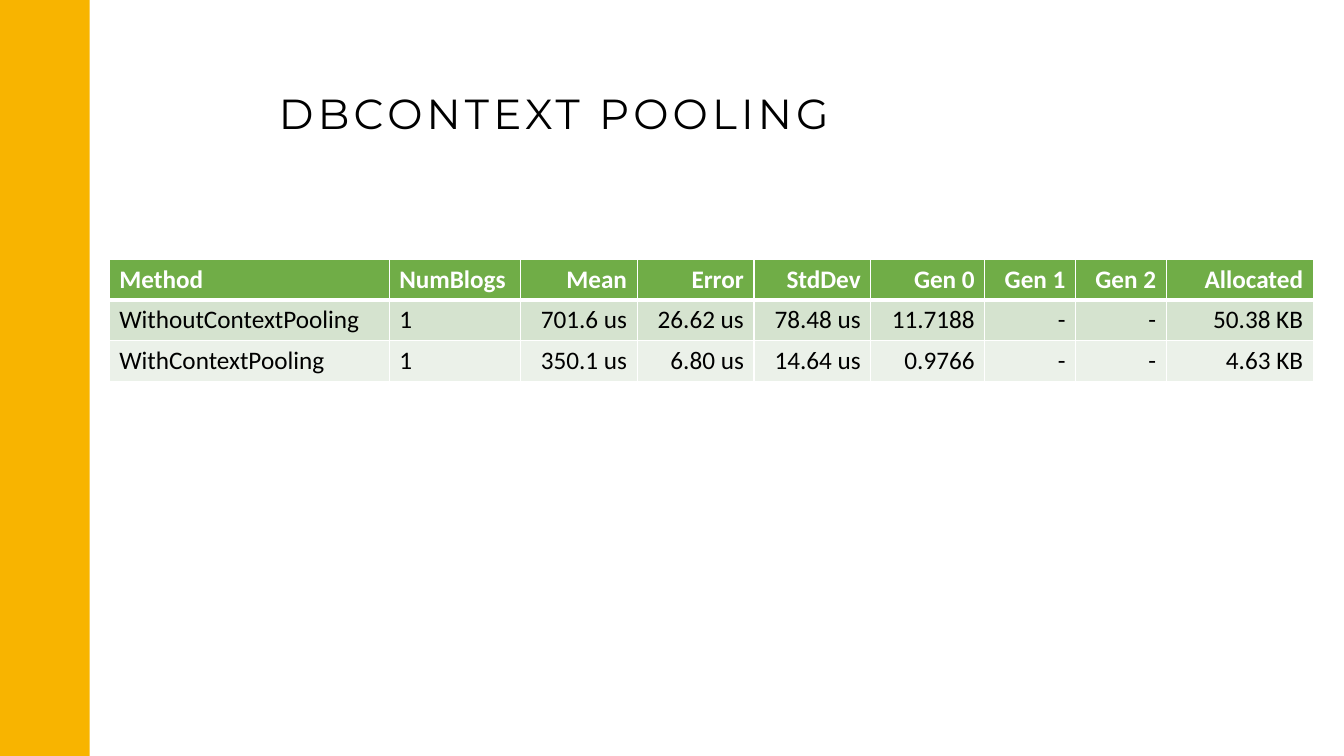
from lxml import etree
from pptx import Presentation
from pptx.dml.color import RGBColor
from pptx.enum.shapes import MSO_SHAPE
from pptx.enum.text import MSO_ANCHOR, PP_ALIGN
from pptx.oxml.ns import qn
from pptx.util import Pt

RECTANGLE = MSO_SHAPE.RECTANGLE
MIDDLE = MSO_ANCHOR.MIDDLE
LEFT, RIGHT = PP_ALIGN.LEFT, PP_ALIGN.RIGHT

COLORS = {
    "accent": "F8B400",
    "header": "70AD47",
    "odd_row": "D5E3CF",
    "even_row": "EBF1E9",
    "black": "000000",
    "white": "FFFFFF",
}
TITLE_FORMAT = {"name": "Montserrat", "size": Pt(30), "bold": False}
HEADER_FORMAT = {"name": "Calibri", "size": Pt(18), "bold": True}
BODY_FORMAT = {"name": "Calibri", "size": Pt(18), "bold": False}

BENCHMARK = [
    ["Method", "NumBlogs", "Mean", "Error", "StdDev", "Gen 0", "Gen 1", "Gen 2", "Allocated"],
    ["WithoutContextPooling", "1", "701.6 us", "26.62 us", "78.48 us", "11.7188", "-", "-", "50.38 KB"],
    ["WithContextPooling", "1", "350.1 us", "6.80 us", "14.64 us", "0.9766", "-", "-", "4.63 KB"],
]
COLUMN_WIDTHS = [200, 93.6, 83.5, 83.5, 83.5, 81.4, 64.8, 64.8, 105]
ROW_HEIGHT = 29.2
TEXT_COLUMNS = 2


def rgb(name):
    return RGBColor.from_string(COLORS[name])


def write_span(para, text, format_values, color):
    span = para.add_run()
    span.text = text
    for name, value in format_values.items():
        setattr(span.font, name, value)
    span.font.color.rgb = rgb(color)
    return span


def add_side_bar(page, width, height):
    bar = page.shapes.add_shape(RECTANGLE, 0, 0, width, height)
    bar.shadow.inherit = False
    bar.fill.solid()
    bar.fill.fore_color.rgb = rgb("accent")
    bar.line.fill.background()


def add_title(page, text, left, top, width, height):
    box = page.shapes.add_textbox(Pt(left), Pt(top), Pt(width), Pt(height))
    box.text_frame.word_wrap = True
    box.text_frame.vertical_anchor = MIDDLE
    span = write_span(box.text_frame.paragraphs[0], text, TITLE_FORMAT, "black")
    span.font._element.set("spc", "300")  # letter spacing of 3 pt


def add_borders(cell, widths):
    properties = cell._tc.get_or_add_tcPr()
    for side, width in widths.items():
        line = etree.SubElement(properties, qn(f"a:ln{side}"), w=str(Pt(width)))
        fill = etree.SubElement(line, qn("a:solidFill"))
        etree.SubElement(fill, qn("a:srgbClr"), val=COLORS["white"])


def add_benchmark_table(page, left, top):
    frame = page.shapes.add_table(
        len(BENCHMARK), len(COLUMN_WIDTHS), Pt(left), Pt(top),
        Pt(sum(COLUMN_WIDTHS)), Pt(ROW_HEIGHT * len(BENCHMARK)))
    table = frame.table
    for column, width in zip(table.columns, COLUMN_WIDTHS):
        column.width = Pt(width)
    row_fills = ["header", "odd_row", "even_row"]
    for row_index, (values, row_fill) in enumerate(zip(BENCHMARK, row_fills)):
        table.rows[row_index].height = Pt(ROW_HEIGHT)
        is_header = row_index == 0
        # A thick line parts the header from the first body row
        borders = {"L": 1, "R": 1, "T": 3 if row_index == 1 else 1, "B": 3 if is_header else 1}
        for column_index, text in enumerate(values):
            cell = table.cell(row_index, column_index)
            add_borders(cell, borders)
            cell.fill.solid()
            cell.fill.fore_color.rgb = rgb(row_fill)
            para = cell.text_frame.paragraphs[0]
            para.alignment = LEFT if column_index < TEXT_COLUMNS else RIGHT
            write_span(para, text, HEADER_FORMAT if is_header else BODY_FORMAT,
                       "white" if is_header else "black")


def main():
    deck = Presentation()
    deck.slide_width, deck.slide_height = Pt(960), Pt(540)
    page = deck.slides.add_slide(deck.slide_layouts[6])

    # Title and side bar
    add_title(page, "DBCONTEXT POOLING", 192.2, 58.3, 571.7, 43.9)
    add_side_bar(page, Pt(64), deck.slide_height)

    # Benchmark results
    add_benchmark_table(page, 78, 185)

    deck.save("out.pptx")


if __name__ == "__main__":
    main()
